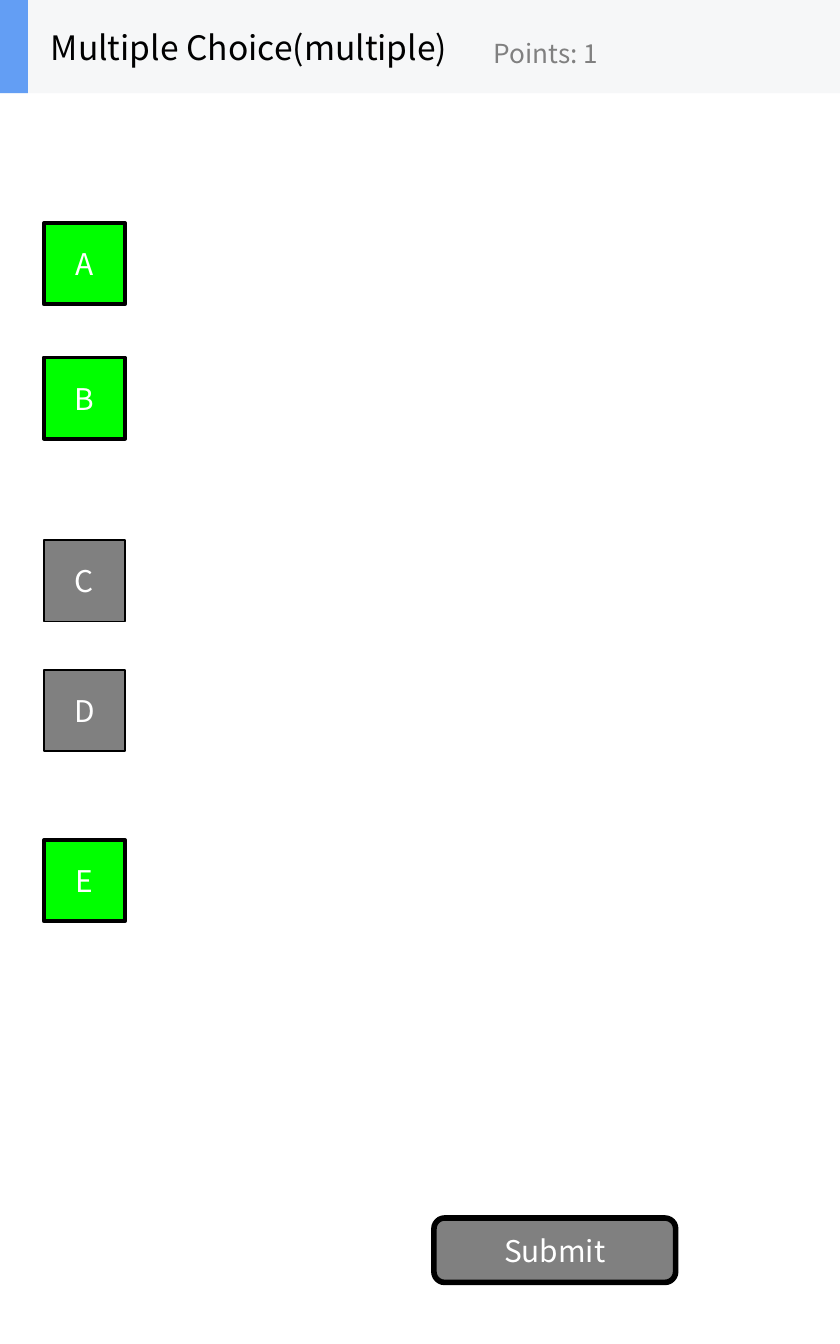
"""Build a multiple-choice question slide with answer boxes and a submit button."""
from pptx import Presentation
from pptx import util as u
from pptx.dml.color import RGBColor
from pptx.enum import shapes, text

FONT = "Noto Sans CJK SC"
BLACK = RGBColor(0x00, 0x00, 0x00)
WHITE = RGBColor(0xFF, 0xFF, 0xFF)
GRAY = RGBColor(0x80, 0x80, 0x80)
GREEN = RGBColor(0x00, 0xFF, 0x00)
BLUE = RGBColor(0x63, 0x9E, 0xF4)
PALE = RGBColor(0xF6, 0xF7, 0xF8)

SLIDE_WIDTH, SLIDE_HEIGHT = 450, 720
HEADER_HEIGHT = 50
OPTION_LEFT, OPTION_SIZE = 23.5, 43.5

TITLE = "Multiple Choice(multiple)"
POINTS = "Points: 1"
SUBMIT = "Submit"
OPTIONS = [
    ("A", 119.5, True),
    ("B", 191.5, True),
    ("C", 289.5, False),
    ("D", 358.75, False),
    ("E", 450, True),
]


def write(shape, content, size=16, color=WHITE, align=text.PP_ALIGN.CENTER):
    """Put one formatted line of text into a shape."""
    frame = shape.text_frame
    frame.text = content
    frame.word_wrap = True
    frame.auto_size = text.MSO_AUTO_SIZE.NONE
    frame.vertical_anchor = text.MSO_ANCHOR.MIDDLE
    paragraph = frame.paragraphs[0]
    paragraph.alignment = align
    font = paragraph.runs[0].font
    font.name, font.size, font.color.rgb = FONT, u.Pt(size), color


def add_box(slide, box, fill, line=0, kind=shapes.MSO_SHAPE.RECTANGLE):
    """Add a filled shape, outlined in black when a line width is given."""
    shape = slide.shapes.add_shape(kind, *map(u.Pt, box))
    shape.shadow.inherit = False
    shape.fill.solid()
    shape.fill.fore_color.rgb = fill
    if line:
        shape.line.color.rgb = BLACK
        shape.line.width = u.Pt(line)
    else:
        shape.line.fill.background()
    return shape


def add_header(slide):
    """Draw the header band with its title and points."""
    add_box(slide, (0, 0, SLIDE_WIDTH, HEADER_HEIGHT), PALE)
    add_box(slide, (0, 0, 15, HEADER_HEIGHT), BLUE)
    title = slide.shapes.title
    title.left, title.top, title.width, title.height = map(u.Pt, (20, 0, 234, HEADER_HEIGHT))
    title.element.getparent().append(title.element)
    write(title, TITLE, size=18, color=BLACK, align=text.PP_ALIGN.LEFT)
    points = slide.shapes.add_textbox(*map(u.Pt, (257.5, 8.5, 180, 40)))
    write(points, POINTS, size=14, color=GRAY, align=text.PP_ALIGN.LEFT)


def main():
    """Assemble and save the slide."""
    presentation = Presentation()
    presentation.slide_width = u.Pt(SLIDE_WIDTH)
    presentation.slide_height = u.Pt(SLIDE_HEIGHT)
    slide = presentation.slides.add_slide(presentation.slide_layouts[5])
    for letter, top, selected in OPTIONS:
        fill, line = (GREEN, 2) if selected else (GRAY, 1)
        option = add_box(slide, (OPTION_LEFT, top, OPTION_SIZE, OPTION_SIZE), fill, line)
        write(option, letter)
    button = add_box(slide, (232.5, 652.5, 129.5, 34.5), GRAY, 3,
                     shapes.MSO_SHAPE.ROUNDED_RECTANGLE)
    write(button, SUBMIT)
    add_header(slide)
    presentation.save("out.pptx")


if __name__ == "__main__":
    main()
